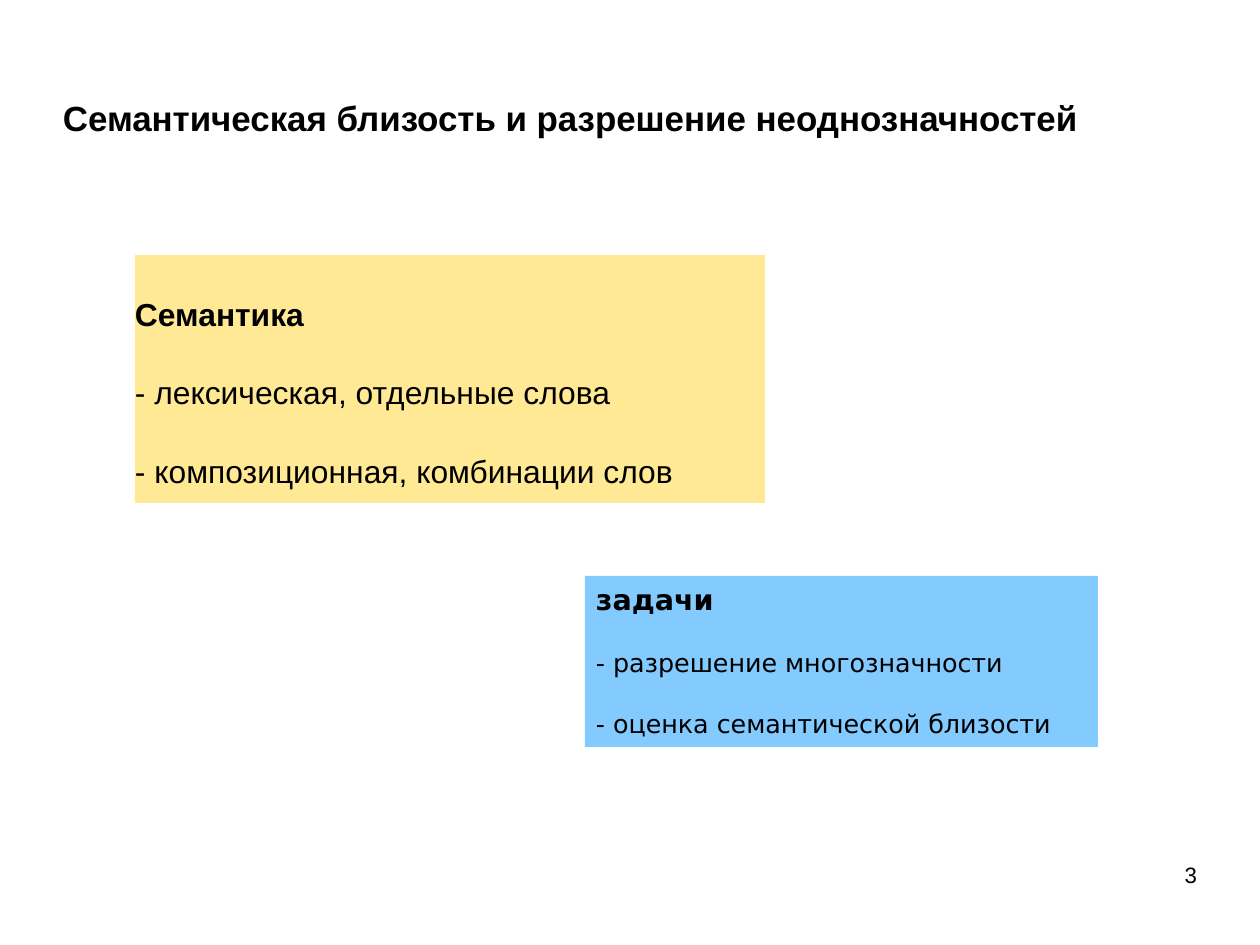
from pptx import Presentation
from pptx.dml.color import RGBColor
from pptx.enum.shapes import MSO_SHAPE as Shape
from pptx.enum.text import MSO_ANCHOR as Anchor, PP_ALIGN as Align
from pptx.util import Pt

PX = 8000  # EMU in one px


def color(value):
    return RGBColor.from_string(value)


def write(box, lines, font, gap=0, insets=(0, 0), align=Align.LEFT, anchor=Anchor.TOP):
    """Fill box with (text, size, bold) lines; insets are left and top, in px."""
    frame = box.text_frame
    frame.word_wrap = True
    frame.vertical_anchor = anchor
    frame.margin_left = frame.margin_right = insets[0] * PX
    frame.margin_top = insets[1] * PX
    frame.margin_bottom = 0
    for index, (text, size, bold) in enumerate(lines):
        para = frame.paragraphs[0] if index == 0 else frame.add_paragraph()
        para.alignment = align
        if index:
            para.space_before = Pt(gap)
        span = para.add_run()
        span.text = text
        span.font.name = font
        span.font.size = Pt(size)
        span.font.bold = bold
        span.font.color.rgb = color("000000")


deck = Presentation()
deck.slide_width, deck.slide_height = 1260 * PX, 945 * PX
page = deck.slides.add_slide(deck.slide_layouts[6])

# Coloured panels: place, fill, font, gap between lines in points, insets, lines
panels = [
    ((135, 255, 630, 248), "FFE994", "Arial", 25.2, (0, 40), [
        ("Семантика", 20, True),
        ("- лексическая, отдельные слова", 20, False),
        ("- композиционная, комбинации слов", 20, False),
    ]),
    ((585, 576, 513, 171), "83CAFF", "DejaVu Sans", 19.5, (11, 6), [
        ("задачи", 18, True),
        ("- разрешение многозначности", 16, False),
        ("- оценка семантической близости", 16, False),
    ]),
]
for place, fill, font, gap, insets, lines in panels:
    panel = page.shapes.add_shape(Shape.RECTANGLE, *[n * PX for n in place])
    panel.shadow.inherit = False
    panel.fill.solid()
    panel.fill.fore_color.rgb = color(fill)
    panel.line.fill.background()
    write(panel, lines, font, gap, insets)

title = page.shapes.add_textbox(63 * PX, 93 * PX, 1071 * PX, 49 * PX)
write(title, [("Семантическая близость и разрешение неоднозначностей", 22, True)],
      "Arial", anchor=Anchor.MIDDLE)

number = page.shapes.add_textbox(903 * PX, 861 * PX, 294 * PX, 65 * PX)
write(number, [("3", 14, False)], "Arial", align=Align.RIGHT)

deck.save("out.pptx")
